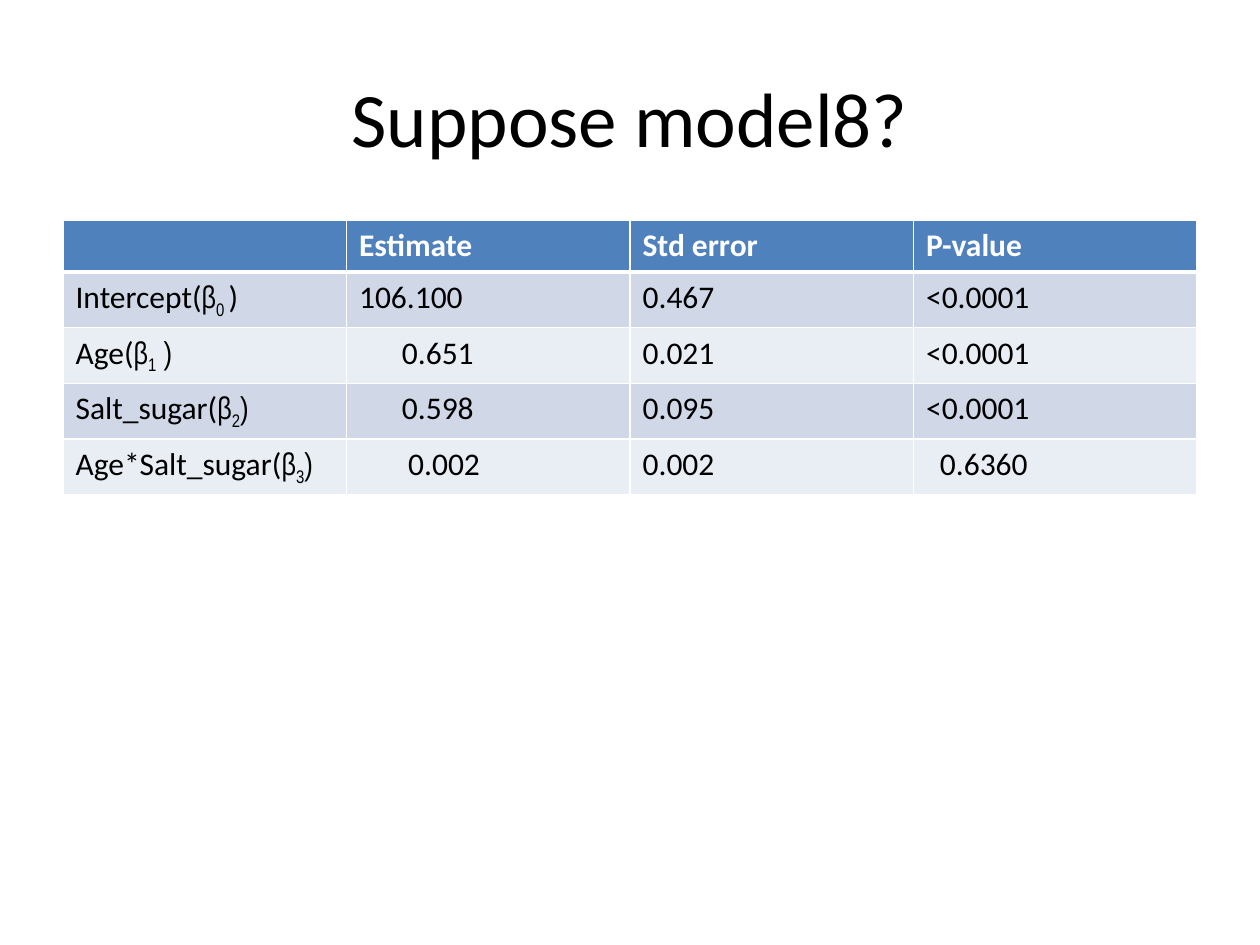
"""Build a slide with a table of regression estimates for model 8."""
from dataclasses import dataclass

from lxml import etree
from pptx import Presentation
from pptx.dml.color import RGBColor
from pptx.enum.text import MSO_ANCHOR, PP_ALIGN
from pptx.oxml.ns import qn
from pptx.util import Inches, Pt

CENTER = PP_ALIGN.CENTER
MIDDLE = MSO_ANCHOR.MIDDLE


@dataclass(frozen=True)
class Theme:
    body_font: str = "Calibri"
    symbol_font: str = "Arial Narrow"
    title_size: int = 44
    table_size: int = 18
    ink: str = "000000"
    paper: str = "FFFFFF"
    header: str = "4F81BD"
    bands: tuple = ("D0D8E8", "E9EDF4")


THEME = Theme()
WIDTH, HEIGHT = Inches(10), Inches(7.5)
MARGIN = 0.05
COLUMNS = 4
ROW_HEIGHT = Inches(0.41)
CELL_INSET = 0.1

HEADINGS = ("", "Estimate", "Std error", "P-value")
COEFFICIENTS = (
    ("Intercept(", "0 ", ")", THEME.body_font),
    ("Age(", "1", " )", THEME.symbol_font),
    ("Salt_sugar(", "2", ")", THEME.symbol_font),
    ("Age*Salt_sugar(", "3", ")", THEME.symbol_font),
)
VALUES = (
    ("106.100", "0.467", "<0.0001"),
    ("0.651", "0.021", "<0.0001"),
    ("0.598", "0.095", "<0.0001"),
    ("0.002", "0.002", "0.6360"),
)
INDENTS = {(2, 1): 0.34, (3, 1): 0.34, (4, 1): 0.39, (4, 3): 0.11}


def add_run(paragraph, text, color=THEME.ink, subscript=False, **formats):
    run = paragraph.add_run()
    run.text = text
    defaults = {"name": THEME.body_font, "size": Pt(THEME.table_size), "bold": False}
    for attribute, value in {**defaults, **formats}.items():
        setattr(run.font, attribute, value)
    run.font.color.rgb = RGBColor.from_string(color)
    if subscript:
        run.font._element.set("baseline", "-25000")


def add_title(slide, text):
    title = slide.shapes.add_textbox(
        int(WIDTH * MARGIN), int(HEIGHT * 0.04),
        int(WIDTH * (1 - 2 * MARGIN)), int(HEIGHT / 6))
    frame = title.text_frame
    for attribute, value in {"word_wrap": True, "vertical_anchor": MIDDLE}.items():
        setattr(frame, attribute, value)
    paragraph = frame.paragraphs[0]
    paragraph.alignment = CENTER
    add_run(paragraph, text, size=Pt(THEME.title_size))


def style_cell(cell, fill, bottom_width=1, top_width=1):
    properties = cell._tc.get_or_add_tcPr()
    widths = {"lnL": 1, "lnR": 1, "lnT": top_width, "lnB": bottom_width}
    for edge, width in widths.items():
        line = etree.SubElement(properties, qn(f"a:{edge}"), w=str(Pt(width)))
        paint = etree.SubElement(line, qn("a:solidFill"))
        etree.SubElement(paint, qn("a:srgbClr"), val=THEME.paper)
    cell.fill.solid()
    cell.fill.fore_color.rgb = RGBColor.from_string(fill)


def write_coefficient(cell, label, index, closing, closing_font):
    paragraph = cell.text_frame.paragraphs[0]
    add_run(paragraph, label)
    add_run(paragraph, "β", name=THEME.symbol_font)
    add_run(paragraph, index, subscript=True, name=THEME.symbol_font)
    add_run(paragraph, closing, name=closing_font)


def add_estimates(slide):
    row_count = len(VALUES) + 1
    table = slide.shapes.add_table(
        row_count, COLUMNS, int(WIDTH * MARGIN), Inches(1.75),
        int(WIDTH * (1 - 2 * MARGIN)), ROW_HEIGHT * row_count).table
    for column, heading in enumerate(HEADINGS):
        cell = table.cell(0, column)
        style_cell(cell, THEME.header, bottom_width=3)
        if heading:
            add_run(cell.text_frame.paragraphs[0], heading, THEME.paper, bold=True)
    for row, (coefficient, values) in enumerate(zip(COEFFICIENTS, VALUES), start=1):
        for column in range(COLUMNS):
            style_cell(table.cell(row, column), THEME.bands[(row - 1) % 2],
                       top_width=3 if row == 1 else 1)
        write_coefficient(table.cell(row, 0), *coefficient)
        for column, value in enumerate(values, start=1):
            cell = table.cell(row, column)
            cell.margin_left = Inches(CELL_INSET + INDENTS.get((row, column), 0))
            add_run(cell.text_frame.paragraphs[0], value)


def main():
    deck = Presentation()
    deck.slide_width, deck.slide_height = WIDTH, HEIGHT
    slide = deck.slides.add_slide(deck.slide_layouts[6])
    add_title(slide, "Suppose model8?")
    add_estimates(slide)
    deck.save("out.pptx")


main()
